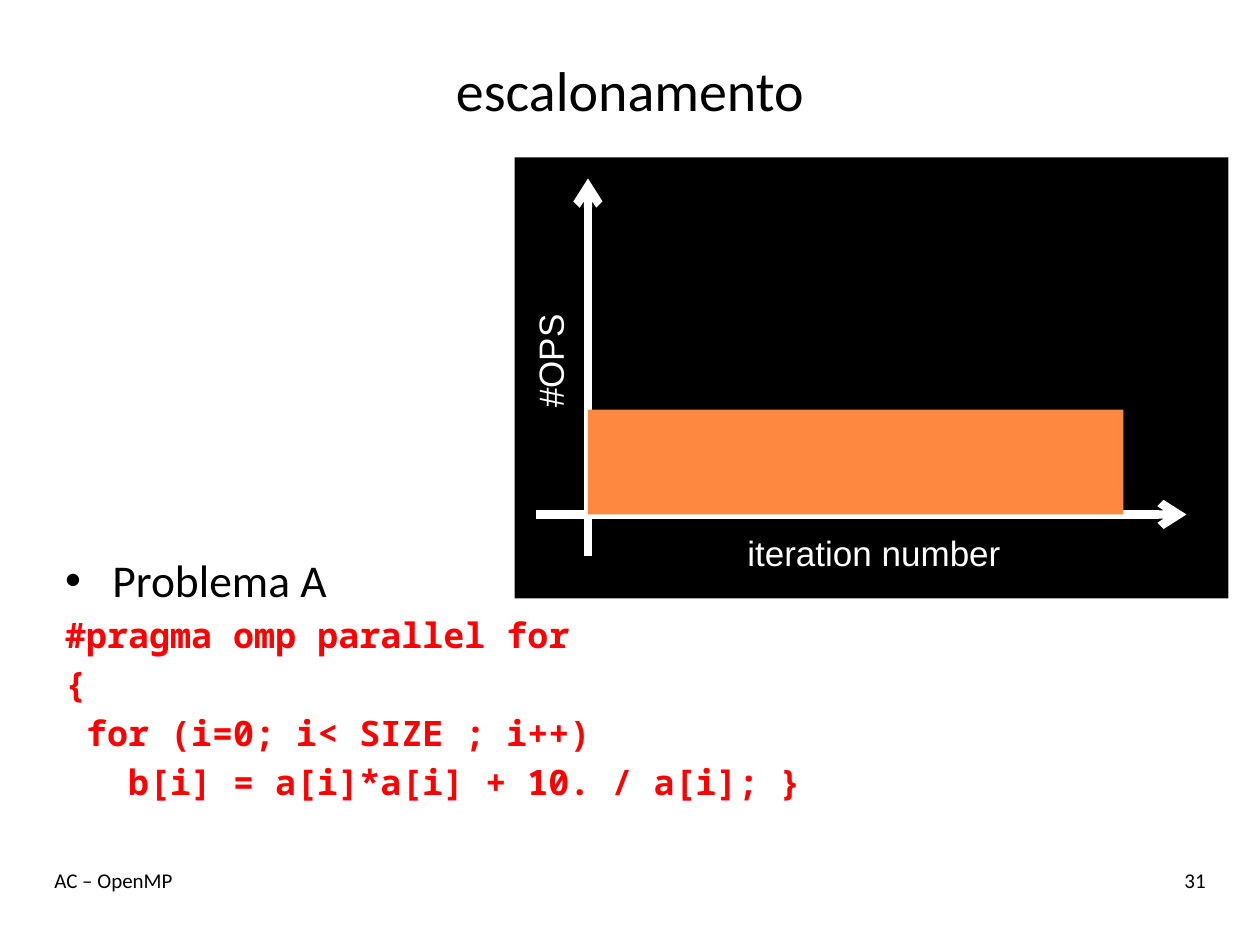
import dataclasses

import lxml.etree
import pptx
import pptx.dml.color
import pptx.enum.shapes
import pptx.enum.text
import pptx.oxml.ns
import pptx.util

BLACK = pptx.dml.color.RGBColor(0x00, 0x00, 0x00)
WHITE = pptx.dml.color.RGBColor(0xFF, 0xFF, 0xFF)
RED = pptx.dml.color.RGBColor(0xFF, 0x00, 0x00)
ORANGE = pptx.dml.color.RGBColor(0xFF, 0x88, 0x40)

ALIGN = pptx.enum.text.PP_ALIGN
ANCHOR = pptx.enum.text.MSO_ANCHOR
RECTANGLE = pptx.enum.shapes.MSO_SHAPE.RECTANGLE
STRAIGHT = pptx.enum.shapes.MSO_CONNECTOR.STRAIGHT

# The grid has 120 columns and 90 rows on a 10 by 7.5 inch slide
CELLS_PER_INCH = 12
CODE_SIZE = 20
CODE_CHARACTER_WIDTH = 0.6 * CODE_SIZE

TITLE_FONT = {"name": "Calibri", "size": pptx.util.Pt(32)}
BULLET_FONT = {"name": "Calibri", "size": pptx.util.Pt(26)}
CODE_FONT = {"name": "Noto Sans Mono", "size": pptx.util.Pt(CODE_SIZE), "bold": True}
FOOTER_FONT = {"name": "Calibri", "size": pptx.util.Pt(12)}
LABEL_FONT = {"name": "Arial", "size": pptx.util.Pt(20)}


@dataclasses.dataclass(frozen=True)
class Box:
    column: float
    row: float
    columns: float
    rows: float


@dataclasses.dataclass(frozen=True)
class Block:
    box: Box
    fill: pptx.dml.color.RGBColor
    text: str = ""
    rotation: float = 0


@dataclasses.dataclass(frozen=True)
class Axis:
    start: tuple[float, float]
    end: tuple[float, float]


@dataclasses.dataclass(frozen=True)
class CodeLine:
    text: str
    indent: int = 0


@dataclasses.dataclass(frozen=True)
class FooterText:
    box: Box
    text: str
    alignment: ALIGN


def cells(count: float) -> pptx.util.Length:
    return pptx.util.Inches(count / CELLS_PER_INCH)


def place(shape, box: Box) -> None:
    values = {"left": box.column, "top": box.row, "width": box.columns, "height": box.rows}
    for name, value in values.items():
        setattr(shape, name, cells(value))


def write(paragraph, text: str, font: dict, color: pptx.dml.color.RGBColor) -> None:
    run = paragraph.add_run()
    run.text = text
    for name, value in font.items():
        setattr(run.font, name, value)
    run.font.color.rgb = color


def draw_block(group, block: Block) -> None:
    box = block.box
    shape = group.shapes.add_shape(
        RECTANGLE, *map(cells, (box.column, box.row, box.columns, box.rows)))
    shape.shadow.inherit = False
    shape.fill.solid()
    shape.fill.fore_color.rgb = block.fill
    shape.line.fill.background()
    shape.rotation = block.rotation
    if block.text:
        frame = shape.text_frame
        frame.word_wrap = False
        frame.auto_size = pptx.enum.text.MSO_AUTO_SIZE.SHAPE_TO_FIT_TEXT
        frame.vertical_anchor = ANCHOR.TOP
        frame.paragraphs[0].alignment = ALIGN.LEFT
        write(frame.paragraphs[0], block.text, LABEL_FONT, WHITE)


def draw_axis(group, axis: Axis) -> None:
    connector = group.shapes.add_connector(STRAIGHT, *map(cells, axis.start + axis.end))
    connector.line.color.rgb = WHITE
    connector.line.width = pptx.util.Pt(4.75)
    qualified = pptx.oxml.ns.qn
    line = connector.line._get_or_add_ln()
    lxml.etree.SubElement(line, qualified("a:tailEnd"), type="arrow")
    lxml.etree.SubElement(connector._element.spPr, qualified("a:effectLst"))


def write_code(frame, line: CodeLine) -> None:
    paragraph = frame.add_paragraph()
    properties = paragraph._p.get_or_add_pPr()
    properties.set("marL", str(pptx.util.Pt(line.indent * CODE_CHARACTER_WIDTH)))
    properties.set("indent", "0")
    lxml.etree.SubElement(properties, pptx.oxml.ns.qn("a:buNone"))
    write(paragraph, line.text, CODE_FONT, RED)


def draw_footer(slide, footer: FooterText) -> None:
    shape = slide.shapes.add_textbox(0, 0, 0, 0)
    place(shape, footer.box)
    shape.text_frame.word_wrap = True
    paragraph = shape.text_frame.paragraphs[0]
    paragraph.alignment = footer.alignment
    write(paragraph, footer.text, FOOTER_FONT, BLACK)


presentation = pptx.Presentation()
presentation.slide_width = cells(120)
presentation.slide_height = cells(90)
slide = presentation.slides.add_slide(presentation.slide_layouts[1])

# Title
title = slide.shapes.title
place(title, Box(4, 3, 112, 11))
title.text_frame.vertical_anchor = ANCHOR.MIDDLE
title.text_frame.paragraphs[0].alignment = ALIGN.CENTER
write(title.text_frame.paragraphs[0], "escalonamento", TITLE_FONT, BLACK)

# Problem and its code
body = slide.placeholders[1]
place(body, Box(5, 52, 76, 29))
body.text_frame.auto_size = pptx.enum.text.MSO_AUTO_SIZE.NONE
write(body.text_frame.paragraphs[0], "Problema A", BULLET_FONT, BLACK)
for code_line in (
    CodeLine("#pragma omp parallel for"),
    CodeLine("{"),
    CodeLine("for (i=0; i< SIZE ; i++)", indent=1),
    CodeLine("b[i] = a[i]*a[i] + 10. / a[i]; }", indent=3),
):
    write_code(body.text_frame, code_line)

# Footer
for footer_text in (
    FooterText(Box(4, 82, 84, 6), "AC – OpenMP", ALIGN.LEFT),
    FooterText(Box(100, 82, 16, 6), "31", ALIGN.RIGHT),
):
    draw_footer(slide, footer_text)

# Diagram of operations per iteration, from back to front
diagram = slide.shapes.add_group_shape()
draw_block(diagram, Block(Box(49, 15, 68, 42), BLACK))
for axis in (Axis((51, 49), (113, 49)), Axis((56, 53), (56, 17))):
    draw_axis(diagram, axis)
for block in (
    Block(Box(70, 50, 26.9, 5.25), BLACK, "iteration number"),
    Block(Box(46.7, 31.7, 11.4, 5.25), BLACK, "#OPS", rotation=270),
    Block(Box(56, 39, 51, 10), ORANGE),
):
    draw_block(diagram, block)

presentation.save("out.pptx")
